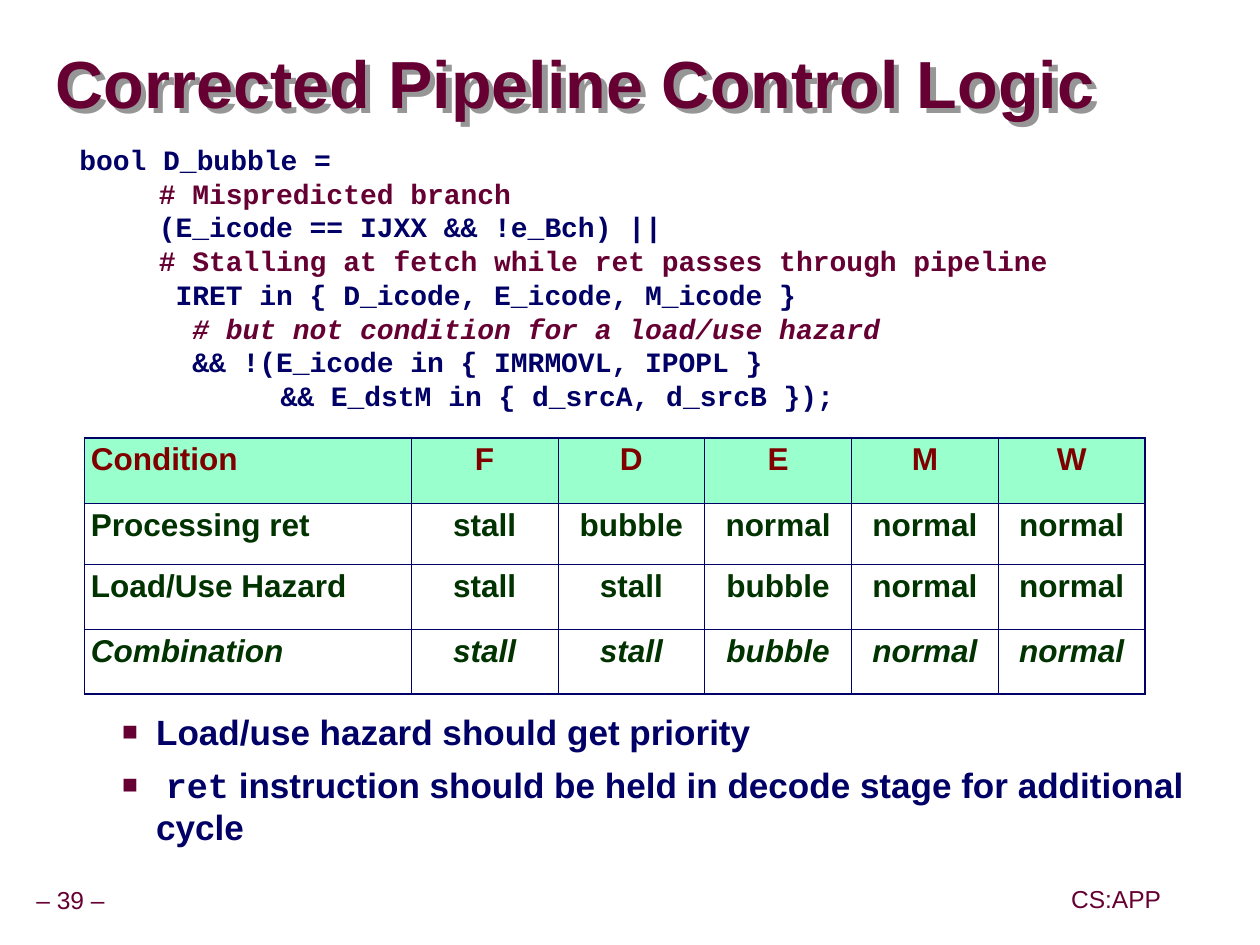
from lxml import etree
from pptx import Presentation
from pptx import util as u
from pptx.dml.color import RGBColor
from pptx.enum import text
from pptx.oxml import ns

MAROON, NAVY, GREEN, RED, MINT = "660033", "000066", "003300", "800000", "99FFCC"
CENTER, LEFT = text.PP_ALIGN.CENTER, text.PP_ALIGN.LEFT


def add_run(paragraph, words, size, color, bold=True, italic=False, font="Arial"):
    run = paragraph.add_run()
    run.text = words
    run.font.name, run.font.size = font, u.Pt(size)
    run.font.bold, run.font.italic = bold, italic
    run.font.color.rgb = RGBColor.from_string(color)


def add_box(left, top, width, height, inset=0.05, anchor=text.MSO_ANCHOR.TOP):
    box = slide.shapes.add_textbox(*map(u.Inches, (left, top, width, height)))
    frame = box.text_frame
    frame.word_wrap = True
    frame.vertical_anchor = anchor
    frame.margin_left = frame.margin_right = u.Inches(inset)
    frame.margin_top = frame.margin_bottom = u.Inches(min(inset, 0.05))
    return box


prs = Presentation()
prs.slide_width, prs.slide_height = u.Inches(9.99), u.Inches(7.49)
slide = prs.slides.add_slide(prs.slide_layouts[6])

# Footer
for left, top, label in [(0.06, 6.99, "– 39 –"), (8.35, 6.98, "CS:APP")]:
    footer = add_box(left, top, 1, 0.31, anchor=text.MSO_ANCHOR.MIDDLE)
    line = footer.text_frame.paragraphs[0]
    line.alignment, line.line_spacing = CENTER, 0.9
    add_run(line, label, 14, MAROON, bold=False)

# Title with an offset grey shadow
title = add_box(0.44, 0.27, 9.52, 0.85, inset=0, anchor=text.MSO_ANCHOR.MIDDLE)
heading = title.text_frame.paragraphs[0]
heading.line_spacing = 0.87
add_run(heading, "Corrected Pipeline Control Logic", 38, MAROON)
effects = etree.SubElement(title._element.spPr, ns.qn("a:effectLst"))
shadow = etree.SubElement(effects, ns.qn("a:outerShdw"), dist=str(u.Inches(0.06)),
                          dir="2700000", algn="ctr", rotWithShape="0")
etree.SubElement(shadow, ns.qn("a:srgbClr"), val="969696")

# Conclusions
MONO = "Courier New"
conclusions = [
    [("Load/use hazard should get priority", "Arial")],
    [(" ", "Arial"), ("ret", MONO),
     (" instruction should be held in decode stage for additional cycle", "Arial")],
]
body = add_box(0.33, 5.58, 9.18, 1.62, inset=0.1).text_frame
for i, parts in enumerate(conclusions):
    point = body.add_paragraph() if i else body.paragraphs[0]
    if i:
        point.space_before = u.Pt(6.2)
    props = point._p.get_or_add_pPr()
    props.set("marL", str(u.Inches(0.81)))
    props.set("indent", str(u.Inches(-0.27)))
    bullet_color = etree.SubElement(props, ns.qn("a:buClr"))
    etree.SubElement(bullet_color, ns.qn("a:srgbClr"), val=MAROON)
    etree.SubElement(props, ns.qn("a:buSzPct"), val="75000")
    etree.SubElement(props, ns.qn("a:buFont"), typeface="Arial")
    etree.SubElement(props, ns.qn("a:buChar"), char="■")
    for words, font in parts:
        add_run(point, words, 20, NAVY, font=font)

# Pipeline actions by condition
actions = [
    ["Condition", "F", "D", "E", "M", "W"],
    ["Processing ret", "stall", "bubble", "normal", "normal", "normal"],
    ["Load/Use Hazard", "stall", "stall", "bubble", "normal", "normal"],
    ["Combination", "stall", "stall", "bubble", "normal", "normal"],
]
row_heights = [0.52, 0.48, 0.52, 0.51]
table_width, condition_width = 8.41, 2.59
last_row, last_col = len(actions) - 1, len(actions[0]) - 1
table = slide.shapes.add_table(
    len(actions), len(actions[0]), u.Inches(0.67), u.Inches(3.47),
    u.Inches(table_width), u.Inches(sum(row_heights))).table
table.first_row = table.horz_banding = False
for c, column in enumerate(table.columns):
    stage_width = (table_width - condition_width) / last_col
    column.width = u.Inches(stage_width if c else condition_width)
for r, row in enumerate(actions):
    table.rows[r].height = u.Inches(row_heights[r])
    for c, words in enumerate(row):
        cell = table.cell(r, c)
        cell.margin_left = cell.margin_right = u.Inches(0.05)
        cell.margin_top = cell.margin_bottom = u.Inches(0.05)
        if r:
            cell.fill.background()
        else:
            cell.fill.solid()
            cell.fill.fore_color.rgb = RGBColor.from_string(MINT)
        line = cell.text_frame.paragraphs[0]
        line.alignment, line.line_spacing = CENTER if c else LEFT, 0.95
        add_run(line, words, 18, GREEN if r else RED, italic=r == last_row)
        outer_sides = {"lnL": c == 0, "lnR": c == last_col, "lnT": r == 0, "lnB": r == last_row}
        for i, (side, outer) in enumerate(outer_sides.items()):
            border = etree.Element(ns.qn(f"a:{side}"), w=str(u.Pt(1.08 if outer else 0.45)))
            border_fill = etree.SubElement(border, ns.qn("a:solidFill"))
            etree.SubElement(border_fill, ns.qn("a:srgbClr"), val=NAVY)
            cell._tc.get_or_add_tcPr().insert(i, border)

# Control logic code: indent in inches, then the line
code_lines = [
    (0, "bool D_bubble ="),
    (0.63, "# Mispredicted branch"),
    (0.63, "(E_icode == IJXX && !e_Bch) ||"),
    (0.63, "# Stalling at fetch while ret passes through pipeline"),
    (0.63, " IRET in { D_icode, E_icode, M_icode }"),
    (0.63, "  # but not condition for a load/use hazard"),
    (0.63, "  && !(E_icode in { IMRMOVL, IPOPL }"),
    (0, "            && E_dstM in { d_srcA, d_srcB });"),
]
code = add_box(0.58, 1.08, 9.24, 2.5).text_frame
for i, (indent, words) in enumerate(code_lines):
    line = code.add_paragraph() if i else code.paragraphs[0]
    line.line_spacing = u.Pt(19.25)
    line._p.get_or_add_pPr().set("marL", str(u.Inches(indent)))
    add_run(line, words, 16, MAROON if "#" in words else NAVY,
            italic="but not" in words, font=MONO)

prs.save("out.pptx")
